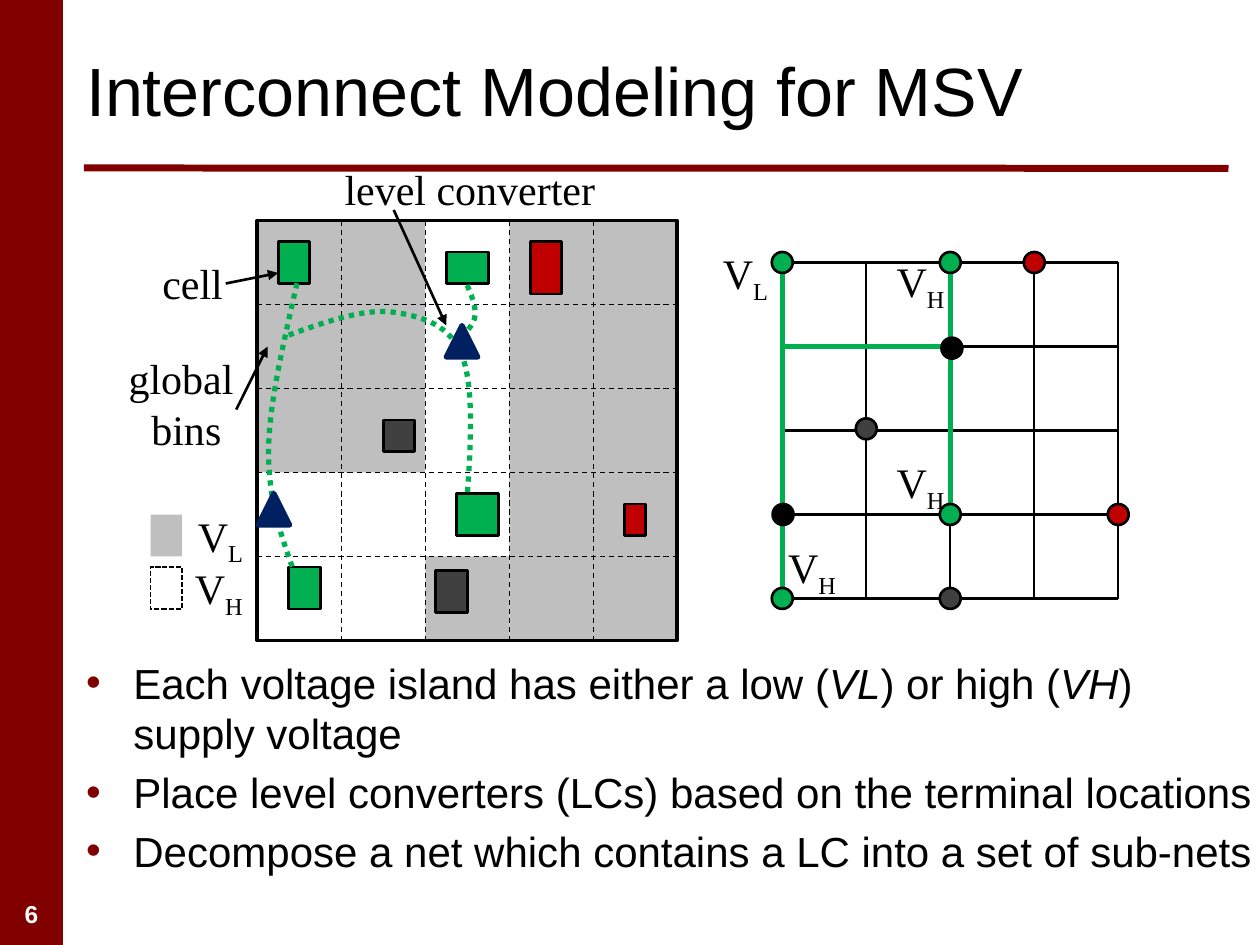
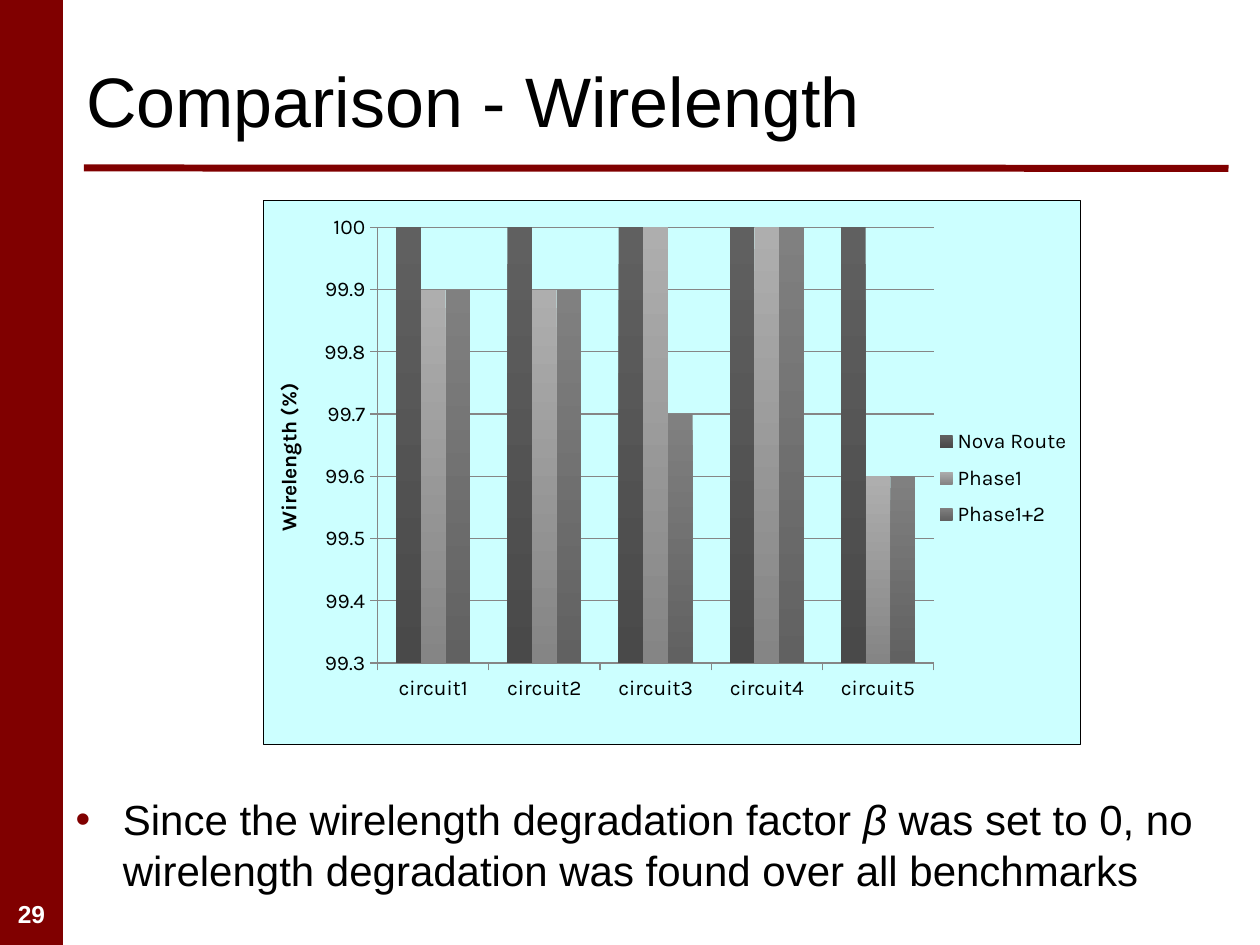
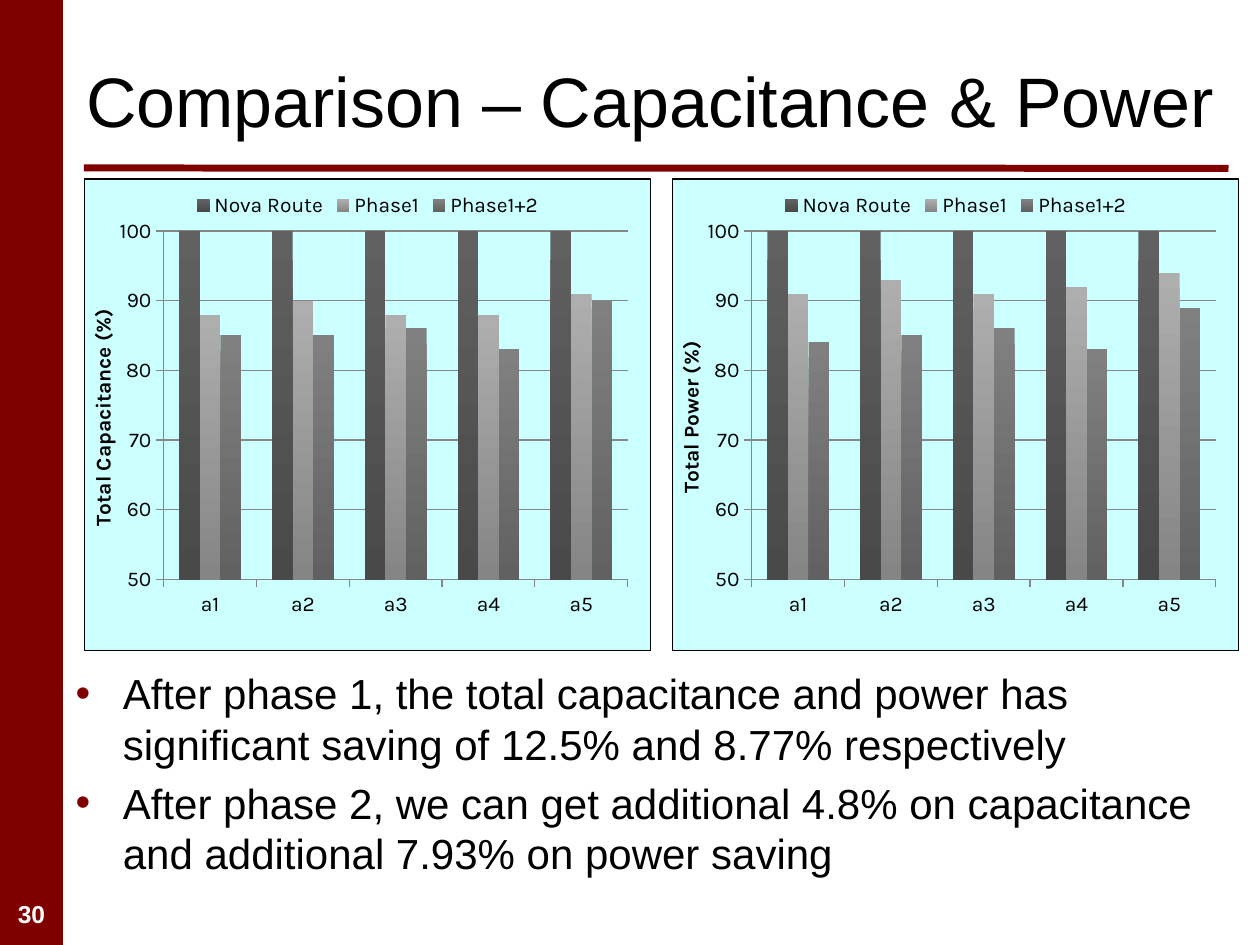
from lxml import etree
from pptx import Presentation
from pptx import util as u
from pptx.chart.data import CategoryChartData
from pptx.dml.color import RGBColor
from pptx.enum import chart as charts, dml, shapes, text
from pptx.oxml import parse_xml
from pptx.oxml.ns import nsdecls, qn

MAROON = RGBColor(0x80, 0x00, 0x00)
BLACK = RGBColor(0x00, 0x00, 0x00)
WHITE = RGBColor(0xFF, 0xFF, 0xFF)
SILVER = RGBColor(0xBF, 0xBF, 0xBF)
CHARCOAL = RGBColor(0x40, 0x40, 0x40)
RED = RGBColor(0xC0, 0x00, 0x00)
GREEN = RGBColor(0x00, 0xB0, 0x50)
NAVY = RGBColor(0x00, 0x20, 0x60)
CYAN = RGBColor(0xCC, 0xFF, 0xFF)
AXIS_GREY = RGBColor(0x86, 0x86, 0x86)
BAR_SHADES = [
    (RGBColor(0x60, 0x60, 0x60), RGBColor(0x49, 0x49, 0x49)),
    (RGBColor(0xAE, 0xAE, 0xAE), RGBColor(0x85, 0x85, 0x85)),
    (RGBColor(0x80, 0x80, 0x80), RGBColor(0x61, 0x61, 0x61)),
]

Kind = shapes.MSO_SHAPE
Dash = dml.MSO_LINE
Align = text.PP_ALIGN
BIN = 48
BINS = 5
ROUTERS = ["Nova Route", "Phase1", "Phase1+2"]

TITLE_FONT = {"name": "Arial", "size": u.Pt(40)}
BODY_FONT = {"name": "Arial", "size": u.Pt(24)}
LABEL_FONT = {"name": "Times New Roman", "size": u.Pt(24)}
PAGE_FONT = {"name": "Arial", "size": u.Pt(14), "bold": True}
CHART_FONT = {"name": "Karla", "size": u.Pt(12)}
NO_INSETS = dict.fromkeys(
    ["margin_left", "margin_top", "margin_right", "margin_bottom"], 0)


def assign(target, values):
    for name, value in values.items():
        setattr(target, name, value)


def style_font(font, values, color=BLACK):
    assign(font, values)
    font.color.rgb = color


def style_line(line, color, width, dash=None):
    line.color.rgb = color
    assign(line, {"width": u.Pt(width), "dash_style": dash})


def place(part, box):
    assign(part, dict(zip(["left", "top", "width", "height"], map(u.Pt, box))))


def draw_shape(slide, kind, box, fill=None, outline=None, width=1.5, dash=None):
    part = slide.shapes.add_shape(kind, *map(u.Pt, box))
    part.shadow.inherit = False
    if fill is None:
        part.fill.background()
    else:
        part.fill.solid()
        part.fill.fore_color.rgb = fill
    if outline is None:
        part.line.fill.background()
    else:
        style_line(part.line, outline, width, dash)


def draw_line(slide, start, end, color, width, dash=None, arrow=False):
    link = slide.shapes.add_connector(
        shapes.MSO_CONNECTOR.STRAIGHT, *map(u.Pt, (*start, *end)))
    style_line(link.line, color, width, dash)
    properties = link._element.spPr
    etree.SubElement(properties, qn("a:effectLst"))
    if arrow:
        etree.SubElement(properties.find(qn("a:ln")), qn("a:tailEnd"), type="triangle")


def draw_curve(slide, points):
    start, *rest = [tuple(map(u.Pt, point)) for point in points]
    builder = slide.shapes.build_freeform(*start)
    builder.add_line_segments(rest, close=False)
    route = builder.convert_to_shape()
    route.shadow.inherit = False
    route.fill.background()
    style_line(route.line, GREEN, 3, Dash.ROUND_DOT)
    outline = next(route._element.iter(qn("a:path")))
    segments = outline.findall(qn("a:lnTo"))
    for first in range(0, len(segments), 3):
        bend = etree.SubElement(outline, qn("a:cubicBezTo"))
        for segment in segments[first:first + 3]:
            bend.append(segment[0])
            outline.remove(segment)


def write_label(slide, box, words, subscript="", align=Align.CENTER):
    frame = slide.shapes.add_textbox(*map(u.Pt, box)).text_frame
    frame.word_wrap = False
    paragraph = frame.paragraphs[0]
    paragraph.text = words
    paragraph.alignment = align
    if subscript:
        lowered = paragraph.add_run()
        lowered.text = subscript
        lowered.font._element.set("baseline", "-25000")
    for run in paragraph.runs:
        style_font(run.font, LABEL_FONT)


def add_frame(slide, page):
    draw_shape(slide, Kind.RECTANGLE, (0, 0, 36, 540), MAROON)
    draw_line(slide, (48, 96), (702, 96.2), MAROON, 4)
    frame = slide.shapes.add_textbox(*map(u.Pt, (0, 510, 36, 24))).text_frame
    assign(frame, {**NO_INSETS, "word_wrap": True,
                   "vertical_anchor": text.MSO_ANCHOR.MIDDLE})
    paragraph = frame.paragraphs[0]
    paragraph.text = str(page)
    paragraph.alignment = Align.CENTER
    style_font(paragraph.runs[0].font, PAGE_FONT, WHITE)


def fill_title(slide, words, box=(42, 18, 660, 78), size=40):
    heading = slide.shapes.title
    place(heading, box)
    assign(heading.text_frame, {"text": words, "auto_size": text.MSO_AUTO_SIZE.NONE,
                                "vertical_anchor": text.MSO_ANCHOR.MIDDLE})
    paragraph = heading.text_frame.paragraphs[0]
    paragraph.alignment = Align.LEFT
    style_font(paragraph.runs[0].font, {**TITLE_FONT, "size": u.Pt(size)})


def fill_bullets(slide, box, points):
    body = slide.placeholders[1]
    place(body, box)
    frame = body.text_frame
    frame.auto_size = text.MSO_AUTO_SIZE.NONE
    for number, pieces in enumerate(points):
        paragraph = frame.add_paragraph() if number else frame.paragraphs[0]
        bullet = etree.SubElement(paragraph._p.get_or_add_pPr(), qn("a:buClr"))
        etree.SubElement(bullet, qn("a:srgbClr"), val=str(MAROON))
        for order, words in enumerate(pieces):
            run = paragraph.add_run()
            run.text = words
            style_font(run.font, {**BODY_FONT, "italic": order % 2 == 1})


def start_slide(deck, page):
    slide = deck.slides.add_slide(deck.slide_layouts[1])
    add_frame(slide, page)
    return slide


def draw_floorplan(slide, left, top):
    side = BIN * BINS

    def at(x, y, *size):
        return (left + x, top + y, *size)

    low_voltage = [(0, 0, 2, 3), (2, 4, 1, 1), (3, 0, 2, 5)]
    for region in low_voltage:
        draw_shape(slide, Kind.RECTANGLE, at(*(BIN * v for v in region)), SILVER)
    draw_shape(slide, Kind.RECTANGLE, at(0, 0, side, side), None, BLACK, 2)
    for offset in range(BIN, side, BIN):
        draw_line(slide, at(offset, 0), at(offset, side), BLACK, 0.75, Dash.DASH)
        draw_line(slide, at(0, offset), at(side, offset), BLACK, 0.75, Dash.DASH)

    cells = [
        (RED, (210, 162, 12, 18)), (RED, (156, 12, 18, 30)),
        (GREEN, (108, 18, 24, 18)), (GREEN, (12, 12, 18, 24)),
        (GREEN, (114, 156, 24, 24)), (GREEN, (18, 198, 18, 24)),
        (CHARCOAL, (102, 200, 18, 24)), (CHARCOAL, (72, 114, 18, 18)),
    ]
    for color, box in cells:
        draw_shape(slide, Kind.RECTANGLE, at(*box), color, BLACK)

    routes = [
        [(24, 30), (16, 66), (7, 102), (6.5, 130), (6, 158), (13, 178), (20, 198)],
        [(18, 65.5), (40, 57.5), (62, 50), (78.5, 52.5), (95, 55),
         (111, 60), (117.5, 78.5), (124, 97), (122, 131), (119.5, 164)],
        [(117.5, 31.5), (121, 39.5), (125, 47.5), (124.5, 54), (124, 60.5),
         (118, 65), (112, 70)],
    ]
    for route in routes:
        draw_curve(slide, [at(*point) for point in route])
    for converter in [(108, 60), (0.5, 156)]:
        draw_shape(slide, Kind.ISOSCELES_TRIANGLE, at(*converter, 18, 18), NAVY, NAVY, 3)

    callouts = [
        ("cell", (-67.5, 17.5, 55, 37), Align.RIGHT, (-18, 36), (12, 30)),
        ("global \vbins", (-81, 72, 81, 66), Align.CENTER, (-12, 108), (6, 72)),
        ("level converter", (42, -36, 159, 36), Align.CENTER, (78, -6), (108, 60)),
    ]
    for words, box, align, start, end in callouts:
        write_label(slide, at(*box), words, align=align)
        draw_line(slide, at(*start), at(*end), BLACK, 1.5, arrow=True)


def draw_voltage_key(slide, left, top):
    draw_shape(slide, Kind.RECTANGLE, (left, top, 18, 24), SILVER)
    draw_shape(slide, Kind.RECTANGLE, (left, top + 30, 18, 24),
               WHITE, BLACK, 1, Dash.SQUARE_DOT)
    for row, (level, shift) in enumerate([("L", 18.5), ("H", 17.5)]):
        write_label(slide, (left + shift, top - 6 + 30 * row, 43, 36), "V", level)


def draw_routing_graph(slide, left, top):
    def at(column, row):
        return left + BIN * column, top + BIN * row

    last = BINS - 1
    for step in range(BINS):
        draw_line(slide, at(0, step), at(last, step), BLACK, 1.25)
        draw_line(slide, at(step, 0), at(step, last), BLACK, 1.25)
    for start, end in [((0, 0), (0, 4)), ((2, 0), (2, 3)), ((0, 1), (2, 1))]:
        draw_line(slide, at(*start), at(*end), GREEN, 3)
    terminals = {
        GREEN: [(0, 0), (2, 0), (2, 3), (0, 4)],
        CHARCOAL: [(1, 1.98), (2, 4)],
        RED: [(3, 0), (4, 3)],
        BLACK: [(2.02, 1.02), (0.01, 3)],
    }
    for color, nodes in terminals.items():
        for node in nodes:
            x, y = at(*node)
            draw_shape(slide, Kind.OVAL, (x - 6, y - 6, 12, 12), color, BLACK)
    voltages = [("L", -42.5, -12), ("H", 57.5, -7.5), ("H", 57.5, 107.5), ("H", -4.5, 156)]
    for level, x, y in voltages:
        write_label(slide, (left + x, top + y, 43, 36), "V", level)


def manual_layout(box, target=""):
    sizes = "".join(f'<c:{name} val="{value}"/>' for name, value in zip("xywh", box))
    return parse_xml(
        f'<c:layout {nsdecls("c")}><c:manualLayout>{target}<c:xMode val="edge"/>'
        f'<c:yMode val="edge"/>{sizes}</c:manualLayout></c:layout>')


def arrange_chart(chart, plot_box, legend_box):
    plot_area = chart._chartSpace.chart.plotArea
    legend = chart.legend._element
    for region in (plot_area, legend):
        for old in region.findall(qn("c:layout")):
            region.remove(old)
    plot_area.insert(0, manual_layout(plot_box, '<c:layoutTarget val="inner"/>'))
    if legend_box:
        legend.find(qn("c:legendPos")).addnext(manual_layout(legend_box))
    chart._chartSpace.chart.addnext(parse_xml(
        f'<c:spPr {nsdecls("c", "a")}><a:solidFill><a:srgbClr val="{CYAN}"/></a:solidFill>'
        f'<a:ln w="{u.Pt(0.75)}"><a:solidFill><a:srgbClr val="{BLACK}"/></a:solidFill>'
        '</a:ln></c:spPr>'))


def add_comparison(slide, box, measure, benchmarks, results, scale, legend_side,
                   plot_box, legend_box=None):
    data = CategoryChartData()
    data.categories = benchmarks
    for router, values in zip(ROUTERS, [[100] * len(benchmarks), *results]):
        data.add_series(router, values)
    chart = slide.shapes.add_chart(
        charts.XL_CHART_TYPE.COLUMN_CLUSTERED, *map(u.Pt, box), data).chart
    assign(chart, {"has_title": False, "has_legend": True})
    style_font(chart.font, CHART_FONT)
    assign(chart.legend, {"position": legend_side, "include_in_layout": False})
    assign(chart.plots[0], {"gap_width": 150, "overlap": 0, "vary_by_categories": False})
    for series, shades in zip(chart.plots[0].series, BAR_SHADES):
        series.format.fill.gradient()
        series.format.fill.gradient_angle = 270
        for stop, shade in zip(series.format.fill.gradient_stops, shades):
            stop.color.rgb = shade

    value_axis = chart.value_axis
    assign(value_axis, {**scale, "has_major_gridlines": True})
    style_line(value_axis.major_gridlines.format.line, AXIS_GREY, 0.75)
    for axis in (value_axis, chart.category_axis):
        axis.major_tick_mark = charts.XL_TICK_MARK.OUTSIDE
        style_line(axis.format.line, AXIS_GREY, 0.75)
    assign(value_axis.tick_labels,
           {"number_format": "General", "number_format_is_linked": False})
    caption = value_axis.axis_title.text_frame
    caption.text = measure
    style_font(caption.paragraphs[0].runs[0].font, {**CHART_FONT, "bold": True})
    arrange_chart(chart, plot_box, legend_box)


def build_modeling(deck):
    slide = start_slide(deck, 6)
    fill_title(slide, "Interconnect Modeling for MSV", (42, 12, 768, 78), 39)
    draw_floorplan(slide, 147, 126)
    draw_voltage_key(slide, 86, 294)
    draw_routing_graph(slide, 447, 150)
    fill_bullets(slide, (42, 372, 684, 156), [
        ["Each voltage island has either a low (", "VL", ") or high (", "VH",
         ") supply voltage"],
        ["Place level converters (LCs) based on the terminal locations"],
        ["Decompose a net which contains a LC into a set of sub-nets"],
    ])


def build_wirelength(deck):
    slide = start_slide(deck, 29)
    fill_title(slide, "Comparison - Wirelength")
    add_comparison(
        slide, (150, 114, 468, 312), "Wirelength (%)",
        [f"circuit{number}" for number in range(1, 6)],
        [[99.9, 99.9, 100, 100, 99.6], [99.9, 99.9, 99.7, 100, 99.6]],
        {"minimum_scale": 99.3, "maximum_scale": 100, "major_unit": 0.1},
        charts.XL_LEGEND_POSITION.RIGHT, (0.14, 0.05, 0.68, 0.8),
        (0.82, 0.4, 0.17, 0.22))
    fill_bullets(slide, (36, 450, 672, 72), [
        ["Since the wirelength degradation factor ", "β",
         " was set to 0, no wirelength degradation was found over all benchmarks"],
    ])


def build_capacitance_power(deck):
    slide = start_slide(deck, 30)
    fill_title(slide, "Comparison – Capacitance & Power")
    measures = {
        "Total Capacitance (%)": [[88, 90, 88, 88, 91], [85, 85, 86, 83, 90]],
        "Total Power (%)": [[91, 93, 91, 92, 94], [84, 85, 86, 83, 89]],
    }
    for column, (measure, results) in enumerate(measures.items()):
        add_comparison(
            slide, (48 + 336 * column, 102, 324, 270), measure,
            [f"a{number}" for number in range(1, 6)], results,
            {"minimum_scale": 50, "maximum_scale": 100, "major_unit": 10},
            charts.XL_LEGEND_POSITION.TOP, (0.14, 0.11, 0.82, 0.74))
    fill_bullets(slide, (36, 378, 672, 162), [
        ["After phase 1, the total capacitance and power has significant saving"
         " of 12.5% and 8.77% respectively"],
        ["After phase 2, we can get additional 4.8% on capacitance and additional"
         " 7.93% on power saving"],
    ])


def main():
    deck = Presentation()
    assign(deck, {"slide_width": u.Pt(720), "slide_height": u.Pt(540)})
    build_modeling(deck)
    build_wirelength(deck)
    build_capacitance_power(deck)
    deck.save("out.pptx")


if __name__ == "__main__":
    main()
